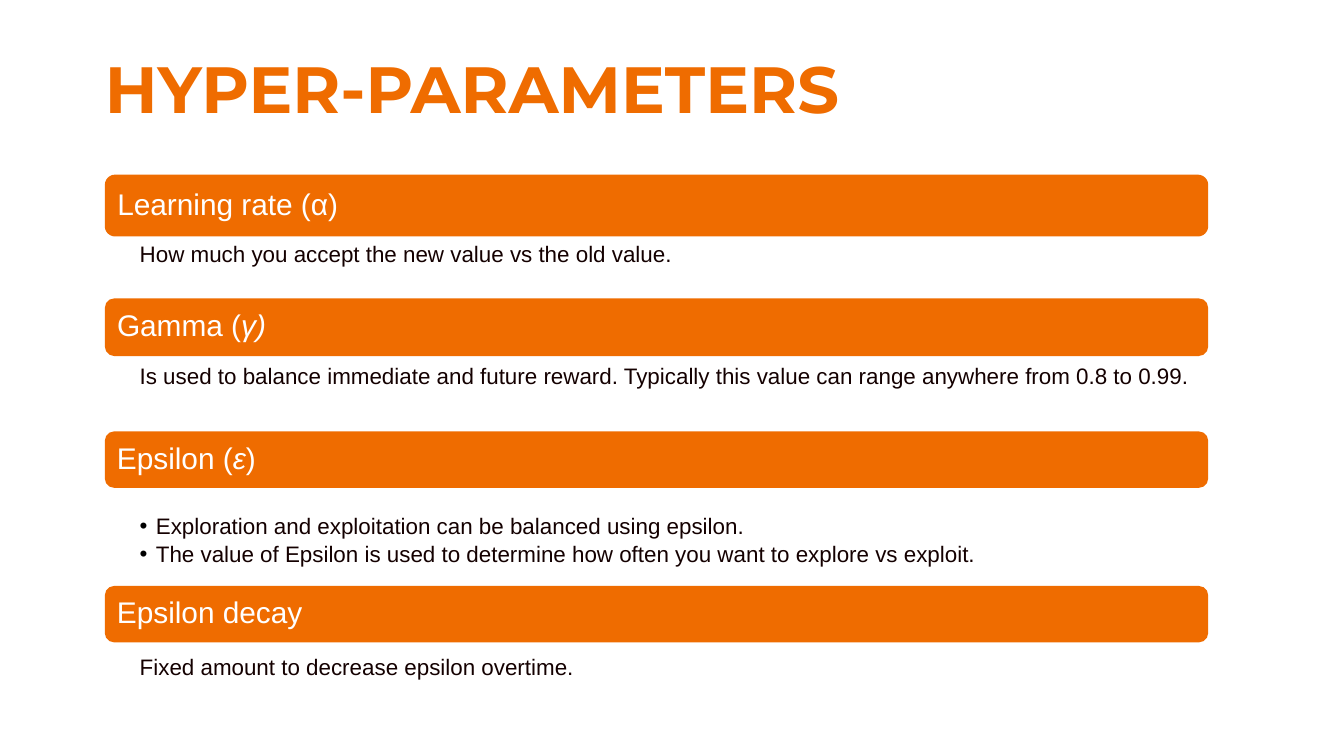
import pptx
import pptx.dml.color
import pptx.enum.shapes
import pptx.enum.text
import pptx.oxml.ns
import pptx.util
from lxml import etree
from pptx.util import Inches

COLORS = {"accent": "EF6C00", "body": "140000", "bullet": "000000", "white": "FFFFFF"}
LEFT, WIDTH = 0.78, 8.21
HANG = 0.12
ANCHOR = pptx.enum.text.MSO_ANCHOR

# Bar top, bar height, heading runs (text, italic),
# body top, width, height, body lines, bulleted
SECTIONS = [
    (1.3, 0.46, [("Learning rate (α)", False)],
     1.79, WIDTH, 0.49, ["How much you accept the new value vs the old value."], False),
    (2.22, 0.43, [("Gamma (", False), ("γ)", True)],
     2.7, 8.3, 0.69, ["Is used to balance immediate and future reward. Typically this "
                      "value can range anywhere from 0.8 to 0.99."], False),
    (3.21, 0.42, [("Epsilon (", False), ("ε", True), (")", False)],
     3.81, WIDTH, 1.38, ["Exploration and exploitation can be balanced using epsilon.",
                         "The value of Epsilon is used to determine how often you want "
                         "to explore vs exploit."], True),
    (4.36, 0.42, [("Epsilon decay", False)],
     4.86, WIDTH, 0.69, ["Fixed amount to decrease epsilon overtime."], False),
]


def rgb(name):
    return pptx.dml.color.RGBColor.from_string(COLORS[name])


def set_frame(tf, anchor, insets):
    tf.word_wrap = True
    tf.vertical_anchor = anchor
    tf.margin_left, tf.margin_top, tf.margin_right, tf.margin_bottom = map(Inches, insets)


def add_run(p, text, size, color, font="Arial", bold=False, italic=False):
    r = p.add_run()
    r.text = text
    r.font.name = font
    r.font.size = pptx.util.Pt(size)
    r.font.bold = bold
    r.font.italic = italic
    r.font.color.rgb = rgb(color)


def add_bullet(p):
    qn = pptx.oxml.ns.qn
    pPr = p._p.get_or_add_pPr()
    pPr.set("marL", str(Inches(HANG)))
    pPr.set("indent", str(-Inches(HANG)))
    color = etree.SubElement(pPr, qn("a:buClr"))
    etree.SubElement(color, qn("a:srgbClr")).set("val", COLORS["bullet"])
    etree.SubElement(pPr, qn("a:buFont")).set("typeface", "Arial")
    etree.SubElement(pPr, qn("a:buChar")).set("char", "•")


def add_title(s, text):
    tf = s.shapes.add_textbox(Inches(LEFT), Inches(-0.33), Inches(8.97), Inches(1.27)).text_frame
    set_frame(tf, ANCHOR.BOTTOM, (0, 0, 0, 0))
    add_run(tf.paragraphs[0], text, 35, "accent", "Montserrat", bold=True)


def add_bar(s, top, height, runs):
    sp = s.shapes.add_shape(pptx.enum.shapes.MSO_SHAPE.ROUNDED_RECTANGLE,
                            Inches(LEFT), Inches(top), Inches(WIDTH), Inches(height))
    sp.shadow.inherit = False
    sp.fill.solid()
    sp.fill.fore_color.rgb = rgb("accent")
    sp.line.fill.background()
    set_frame(sp.text_frame, ANCHOR.MIDDLE, (0.07, 0.07, 0.07, 0.07))
    p = sp.text_frame.paragraphs[0]
    p.alignment = pptx.enum.text.PP_ALIGN.LEFT
    p.line_spacing = 0.9
    for text, italic in runs:
        add_run(p, text, 16, "white", italic=italic)


def add_body(s, top, width, height, lines, bulleted):
    tf = s.shapes.add_textbox(Inches(LEFT), Inches(top), Inches(width), Inches(height)).text_frame
    set_frame(tf, ANCHOR.TOP, (0.26, 0.02, 0.12, 0.02))
    for i, line in enumerate(lines):
        p = tf.add_paragraph() if i else tf.paragraphs[0]
        if bulleted:
            add_bullet(p)
        p.line_spacing = 0.9
        if i:
            p.space_before = pptx.util.Pt(2.4)
        add_run(p, line, 12, "body")


def main():
    # Widescreen 16:9
    prs = pptx.Presentation()
    prs.slide_width = Inches(10)
    prs.slide_height = Inches(10) * 9 // 16
    s = prs.slides.add_slide(prs.slide_layouts[6])

    # Title
    add_title(s, "HYPER-PARAMETERS")

    # Heading bars, each with its explanation below
    for bar_top, bar_height, runs, top, width, height, lines, bulleted in SECTIONS:
        add_bar(s, bar_top, bar_height, runs)
        add_body(s, top, width, height, lines, bulleted)

    prs.save("out.pptx")


if __name__ == "__main__":
    main()
